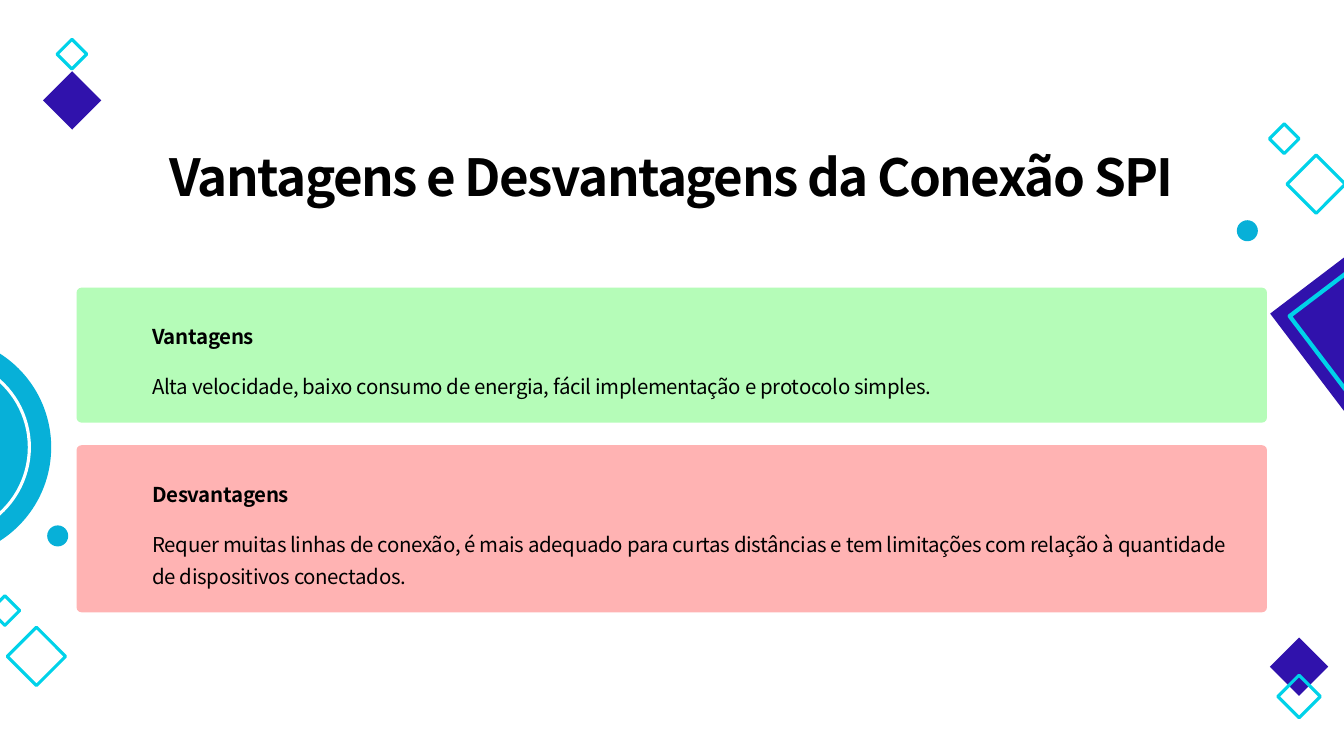
from pptx import Presentation
from pptx.dml.color import RGBColor
from pptx.enum.shapes import MSO_SHAPE
from pptx.enum.text import MSO_ANCHOR, PP_ALIGN
from pptx.util import Cm, Pt

FONT = "Noto Sans CJK JP"
BLACK, WHITE = "000000", "FFFFFF"
PURPLE, CYAN, BLUE = "3012AC", "00D2E9", "07B0D8"
GREEN, PINK = "B5FCB8", "FFB3B3"
SMALL, MIDDLE, LARGE = 0.53, 0.76, 1.04

CARDS = [
    (7.25, 3.4, GREEN, "Vantagens", 1,
     "Alta velocidade, baixo consumo de energia, fácil implementação e protocolo simples."),
    (11.22, 4.21, PINK, "Desvantagens", 2,
     "Requer muitas linhas de conexão, é mais adequado para curtas distâncias e tem "
     "limitações com relação à quantidade de dispositivos conectados."),
]


def color(value):
    """Turn a hex string into a colour."""
    return RGBColor.from_string(value)


def add_figure(page, kind, left, top, width, height, fill=None, line=None, weight=2.25):
    """Draw a preset shape with an optional fill and outline."""
    figure = page.shapes.add_shape(kind, Cm(left), Cm(top), Cm(width), Cm(height))
    figure.shadow.inherit = False
    if fill:
        figure.fill.solid()
        figure.fill.fore_color.rgb = color(fill)
    else:
        figure.fill.background()
    if line:
        figure.line.color.rgb = color(line)
        figure.line.width = Pt(weight)
    else:
        figure.line.fill.background()
    return figure


def add_diamond(page, left, top, size, turn=315, **style):
    """Draw a turned square."""
    figure = add_figure(page, MSO_SHAPE.RECTANGLE, left, top, size, size, **style)
    figure.rotation = turn


def add_circle(page, left, top, size, **style):
    """Draw a circle."""
    add_figure(page, MSO_SHAPE.OVAL, left, top, size, size, **style)


def add_text(page, text, left, top, width, height, size=14.6, leading=23.3,
             bold=False, tracking=-26, align=PP_ALIGN.LEFT):
    """Place one paragraph in a wrapping text box."""
    box = page.shapes.add_textbox(Cm(left), Cm(top), Cm(width), Cm(height))
    frame = box.text_frame
    frame.word_wrap = True
    frame.vertical_anchor = MSO_ANCHOR.TOP
    para = frame.paragraphs[0]
    para.alignment = align
    para.line_spacing = Pt(leading)
    span = para.add_run()
    span.text = text
    span.font.name = FONT
    span.font.size = Pt(size)
    span.font.bold = bold
    span.font.color.rgb = color(BLACK)
    properties = span._r.get_or_add_rPr()
    properties.set("spc", str(tracking))


def add_card(page, top, height, fill, heading, lines, body):
    """Draw a rounded panel with a heading and a body text."""
    panel = add_figure(page, MSO_SHAPE.ROUNDED_RECTANGLE, 1.93, top, 30, height, fill=fill)
    panel.adjustments[0] = 0.125 / height
    add_text(page, heading, 3.59, top + 0.59, 27.81, 0.82, bold=True)
    add_text(page, body, 3.59, top + 1.85, 27.81, 0.82 * lines)


def add_decoration(page):
    """Draw the diamonds and circles along the slide edges."""
    add_diamond(page, 32.7, 6.51, 3.45, turn=52.8, fill=PURPLE)
    add_diamond(page, 33.05, 6.86, 2.74, turn=52.8, line=CYAN, weight=3)
    add_circle(page, -4.31, 8.47, 5.6, fill=BLUE)
    add_circle(page, -3.76, 9.02, 4.5, line=WHITE)
    for left, top in [(32.22, 16.28), (1.3, 2.01)]:
        add_diamond(page, left, top, LARGE, fill=PURPLE)
    for left, top, size in [(1.55, 1.1, SMALL), (32.36, 17.17, MIDDLE),
                            (0.4, 16.02, LARGE), (-0.14, 15.12, SMALL),
                            (32.65, 4.12, LARGE), (32.1, 3.23, SMALL)]:
        add_diamond(page, left, top, size, line=CYAN)
    for left, top in [(1.19, 13.24), (31.17, 5.55)]:
        add_circle(page, left, top, SMALL, fill=BLUE)


def main():
    """Build the slide and save the deck."""
    deck = Presentation()
    deck.slide_width, deck.slide_height = Cm(33.87), Cm(19.05)
    page = deck.slides.add_slide(deck.slide_layouts[6])
    add_decoration(page)
    add_text(page, "Vantagens e Desvantagens da Conexão SPI", 3.94, 3.48, 25.98, 1.6,
             size=36.5, leading=45.6, bold=True, tracking=-107, align=PP_ALIGN.CENTER)
    for card in CARDS:
        add_card(page, *card)
    deck.save("out.pptx")


if __name__ == "__main__":
    main()
